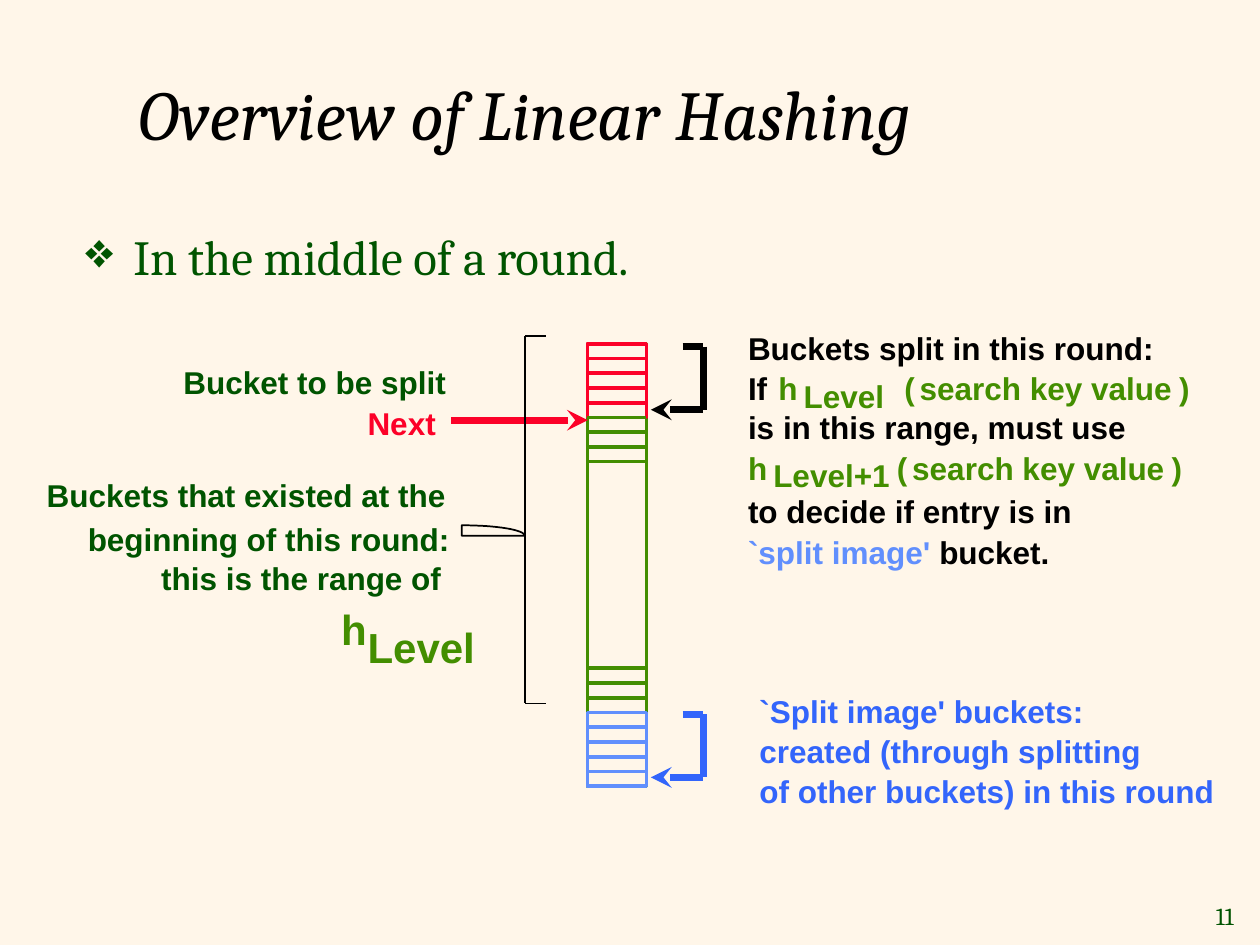
from dataclasses import dataclass
from math import cos, pi, sin

from lxml.etree import SubElement
from pptx import Presentation
from pptx.dml.color import RGBColor
from pptx.enum.shapes import MSO_CONNECTOR as Link, MSO_SHAPE as Preset
from pptx.enum.text import MSO_ANCHOR as Anchor, MSO_AUTO_SIZE as AutoSize, PP_ALIGN as Align
from pptx.oxml.ns import qn
from pptx.util import Cm, Pt

COLORS = {
    "paper": "FFF6E9", "black": "000000", "forest": "005400", "green": "438E00",
    "red": "FC0128", "sky": "618FFD", "blue": "3365FB",
}


@dataclass
class Label:
    """Text runs are (text, colour) pairs; lengths are in centimetres."""
    left: float
    top: float
    width: float
    runs: list[tuple[str, str]]
    size: int = 18
    height: float = 1.02
    font: str = "Arial"
    bold: bool = True
    italic: bool = False
    anchor: Anchor = Anchor.TOP
    align: Align = Align.LEFT
    grow: bool = True


@dataclass
class Section:
    """A stretch of buckets, with row numbers counted from the top of the file."""
    first: int
    last: int
    color: str
    dividers: list[int]


def rgb(name: str) -> RGBColor:
    return RGBColor.from_string(COLORS[name])


def add_label(shapes, label: Label):
    box = shapes.add_textbox(Cm(label.left), Cm(label.top), Cm(label.width), Cm(label.height))
    frame = box.text_frame
    frame.word_wrap = True
    frame.vertical_anchor = label.anchor
    frame.auto_size = AutoSize.SHAPE_TO_FIT_TEXT if label.grow else AutoSize.NONE
    paragraph = frame.paragraphs[0]
    paragraph.alignment = label.align
    for text, color in label.runs:
        run = paragraph.add_run()
        run.text = text
        run.font.name, run.font.size = label.font, Pt(label.size)
        run.font.bold, run.font.italic = label.bold, label.italic
        run.font.color.rgb = rgb(color)
    return paragraph


def add_line(shapes, x1: float, y1: float, x2: float, y2: float,
             color: str, weight: float, arrow: bool = False) -> None:
    """Draw a line; an arrow points at its first end."""
    line = shapes.add_connector(Link.STRAIGHT, Cm(x1), Cm(y1), Cm(x2), Cm(y2))
    line.line.color.rgb = rgb(color)
    line.line.width = Pt(weight)
    if arrow:
        SubElement(line.line._get_or_add_ln(), qn("a:headEnd"), type="stealth")
    SubElement(line._element.spPr, qn("a:effectLst"))


def set_outline(shape, color: str, weight: float) -> None:
    shape.shadow.inherit = False
    shape.fill.background()
    shape.line.color.rgb = rgb(color)
    shape.line.width = Pt(weight)


deck = Presentation()
deck.slide_width, deck.slide_height = Cm(25.4), Cm(19.05)
slide = deck.slides.add_slide(deck.slide_layouts[6])
slide.background.fill.solid()
slide.background.fill.fore_color.rgb = rgb("paper")
shapes = slide.shapes

# Page number, title and bullet
add_label(shapes, Label(24, 18.03, 1.12, [("11", "forest")], 14, 0.84, "Cambria",
                        bold=False, anchor=Anchor.MIDDLE, align=Align.RIGHT))
add_label(shapes, Label(2.54, 0.74, 21.59, [("Overview of Linear Hashing", "black")], 40, 3.07,
                        "Cambria", bold=False, italic=True, anchor=Anchor.MIDDLE, grow=False))
topic = add_label(shapes, Label(1.47, 4.45, 23.29, [("In the middle of a round.", "forest")],
                                28, 2.74, "Cambria", bold=False, grow=False))
topic_format = topic._p.get_or_add_pPr()
topic_format.set("marL", str(Cm(0.97)))
topic_format.set("indent", str(-Cm(0.97)))
bullet_color = SubElement(topic_format, qn("a:buClr"))
SubElement(bullet_color, qn("a:srgbClr"), val=COLORS["forest"])
SubElement(topic_format, qn("a:buChar"), char="❖")

# Captions on the left, then those on the right
NOTE_LEFT, IMAGE_LEFT = 14.83, 15.06
captions = [
    Label(7.16, 12.4, 2.7, [("Level", "green")], 24, 1.27),
    Label(6.63, 12.04, 1.25, [("h ", "green")], 24, 1.27),
    Label(0.69, 9.47, 8.6, [("Buckets that existed at the", "forest")]),
    Label(1.52, 10.36, 8, [("beginning of this round: ", "forest")]),
    Label(3, 11.15, 6.2, [("this is the range of", "forest")]),
    Label(7.16, 8.03, 1.9, [("Next", "red")]),
    Label(3.45, 7.19, 6, [("Bucket to be split ", "forest")]),
    Label(NOTE_LEFT, 6.5, 8.7, [("Buckets split in this round:", "black")]),
    Label(NOTE_LEFT, 7.32, 1.07, [("If ", "black")]),
    Label(15.44, 7.32, 1.07, [("h ", "green")]),
    Label(15.95, 7.47, 2.15, [("Level", "green")]),
    Label(NOTE_LEFT, 8.1, 8.15, [("is in this range, must use", "black")]),
    Label(NOTE_LEFT, 8.92, 1.07, [("h ", "green")]),
    Label(15.34, 9.07, 2.87, [("Level+1", "green")]),
    Label(NOTE_LEFT, 9.8, 7.2, [("to decide if entry is in ", "black")]),
    Label(NOTE_LEFT, 10.62, 6.58, [("`split image' ", "sky"), ("bucket.", "black")]),
    Label(IMAGE_LEFT, 13.82, 7.12, [("`Split image' buckets:", "blue")]),
    Label(IMAGE_LEFT, 14.63, 8.22, [("created (through splitting", "blue")]),
    Label(IMAGE_LEFT, 15.44, 9.7, [("of other buckets) in this round", "blue")]),
]
# Argument of each hash function
for left, top in ((17.98, 7.32), (17.83, 8.92)):
    captions += [
        Label(left, top, 0.72, [("(", "green")]),
        Label(left + 0.31, top, 5.77, [("search key value ", "green")]),
        Label(left + 5.54, top, 0.76, [(")", "green")]),
    ]
for caption in captions:
    add_label(shapes, caption)

# Column of buckets
FILE_LEFT, FILE_TOP, FILE_WIDTH, FILE_HEIGHT, ROWS = 11.84, 6.93, 1.19, 8.92, 30


def row_top(row: int) -> float:
    return FILE_TOP + row * FILE_HEIGHT / ROWS


def add_dividers(rows: list[int], color: str) -> None:
    for row in rows:
        add_line(shapes, FILE_LEFT, row_top(row), FILE_LEFT + FILE_WIDTH, row_top(row), color, 2)


sections = [
    Section(0, ROWS, "green", [22, 23, 24, 25]),
    Section(25, ROWS, "sky", [26, 27, 28, 29]),
    Section(0, 5, "red", [1, 2, 3, 4]),
]
for section in sections:
    top = row_top(section.first)
    outline = shapes.add_shape(Preset.RECTANGLE, Cm(FILE_LEFT), Cm(top), Cm(FILE_WIDTH),
                               Cm(row_top(section.last) - top))
    set_outline(outline, section.color, 2)
    add_dividers(section.dividers, section.color)
add_dividers([5, 6, 7, 8], "green")

# Hooked arrows back to the split buckets and their images
for top, color in ((6.99, "black"), (14.4, "blue")):
    hook = shapes.add_group_shape().shapes
    bottom = top + 1.27
    add_line(hook, 13.76, top, 14.18, top, color, 4)
    add_line(hook, 14.18, top, 14.18, bottom, color, 4)
    add_line(hook, 13.12, bottom, 14.18, bottom, color, 4, arrow=True)

# Pointer to the next bucket
add_line(shapes, 11.85, 8.47, 9.1, 8.47, "red", 4, arrow=True)

# Bracket over the original buckets
BRACKET_X, BRACKET_TOP, BRACKET_BOTTOM = 10.58, 6.77, 14.18
add_line(shapes, 11, BRACKET_TOP, BRACKET_X, BRACKET_TOP, "black", 1)
add_line(shapes, BRACKET_X, BRACKET_TOP, BRACKET_X, BRACKET_BOTTOM, "black", 1)
add_line(shapes, 11, BRACKET_BOTTOM, BRACKET_X, BRACKET_BOTTOM, "black", 1)

# Quarter-ellipse stem of the bracket
STEM_LEFT, STEM_BOTTOM, STEM_WIDTH, STEM_HEIGHT, STEPS = 9.31, 10.8, 1.27, 0.21, 16
arc = [(Cm(STEM_LEFT + STEM_WIDTH * sin(step * pi / 2 / STEPS)),
        Cm(STEM_BOTTOM - STEM_HEIGHT * cos(step * pi / 2 / STEPS))) for step in range(STEPS + 1)]
stem = shapes.build_freeform(*arc[0])
stem.add_line_segments(arc[1:] + [(Cm(STEM_LEFT), Cm(STEM_BOTTOM))], close=True)
set_outline(stem.convert_to_shape(), "black", 1)

deck.save("out.pptx")
